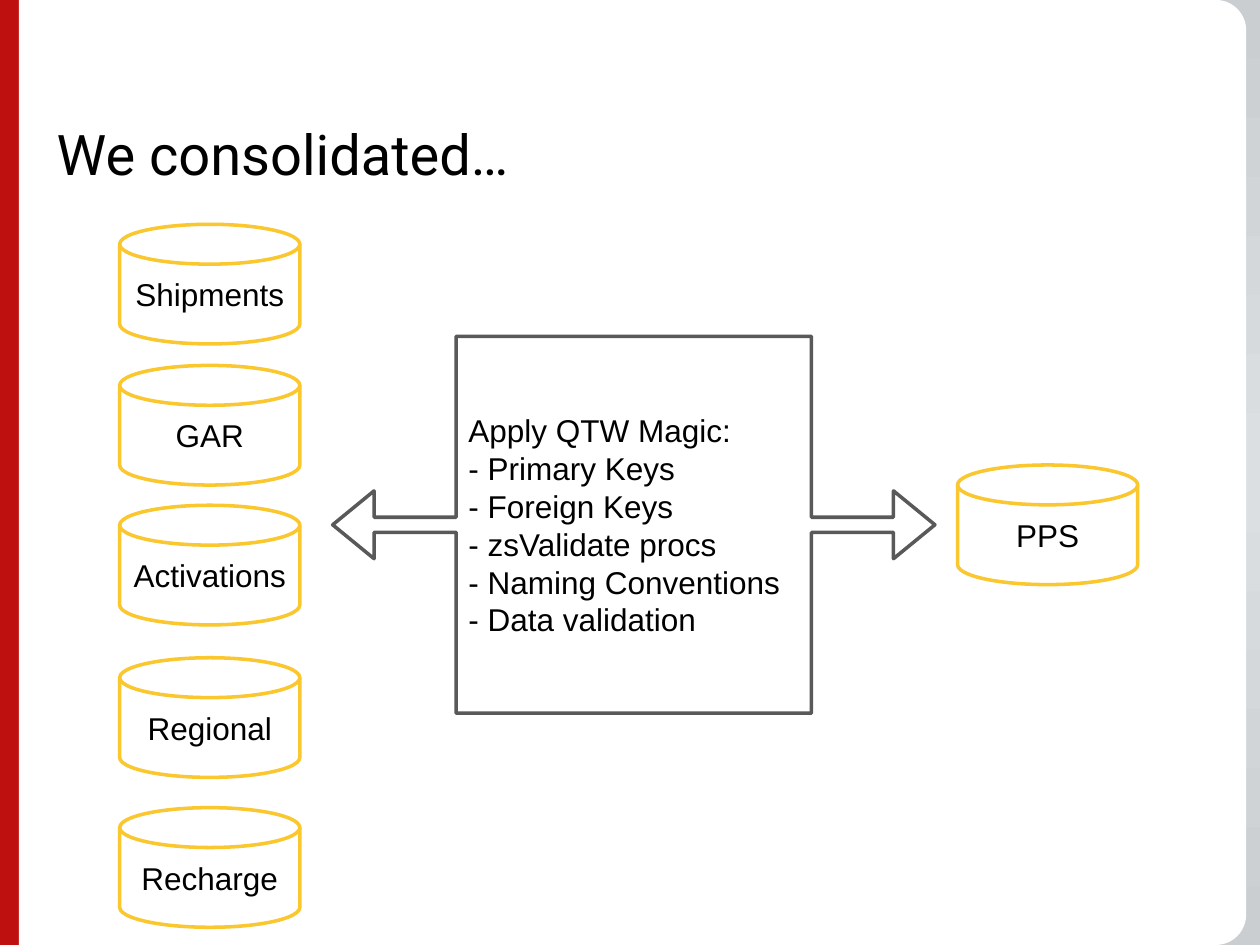
from copy import deepcopy

from pptx import Presentation
from pptx.dml.color import RGBColor
from pptx.enum.shapes import MSO_SHAPE as Shape
from pptx.enum.text import MSO_ANCHOR as Anchor, PP_ALIGN as Align
from pptx.util import Inches, Pt

TITLE = "We consolidated…"
# Database name and top edge, in inches
SOURCES = [
    ("Shipments", 1.78),
    ("GAR", 2.9),
    ("Activations", 4.01),
    ("Regional", 5.22),
    ("Recharge", 6.41),
]
TARGET = ("PPS", 3.69)
STEPS = [
    "Apply QTW Magic:",
    "- Primary Keys",
    "- Foreign Keys",
    "- zsValidate procs",
    "- Naming Conventions",
    "- Data validation",
]

COLORS = {
    "bar": "BE100F",
    "panel": "FFFFFF",
    "disk": "FAC72E",
    "callout": "595959",
    "text": "000000",
    "edge": "CACED1",
    "middle": "DBDFE2",
}
WIDTH, HEIGHT = 10, 7.5
BAR_WIDTH, PANEL_RIGHT, CORNER = 0.15, 9.89, 0.24
SOURCE_LEFT, TARGET_LEFT = 0.95, 7.6
DISK_WIDTH, DISK_HEIGHT = 1.43, 0.95


def color(name):
    return RGBColor.from_string(COLORS[name])


def add_shape(kind, left, top, width, height, fill, line=None):
    shape = slide.shapes.add_shape(
        kind, Inches(left), Inches(top), Inches(width), Inches(height))
    shape.shadow.inherit = False
    shape.fill.solid()
    shape.fill.fore_color.rgb = color(fill)
    if line:
        shape.line.color.rgb = color(line)
        shape.line.width = Pt(2)
    else:
        shape.line.fill.background()
    return shape


def write(shape, text, size=18, font="Arial", align=Align.LEFT, anchor=Anchor.MIDDLE):
    frame = shape.text_frame
    frame.word_wrap = True
    frame.vertical_anchor = anchor
    paragraph = frame.paragraphs[0]
    paragraph.text = text
    paragraph.alignment = align
    paragraph.font.size = Pt(size)
    paragraph.font.name = font
    paragraph.font.color.rgb = color("text")
    return frame


def add_disk(name, left, top):
    disk = add_shape(Shape.FLOWCHART_MAGNETIC_DISK, left, top,
                     DISK_WIDTH, DISK_HEIGHT, "panel", "disk")
    write(disk, name, align=Align.CENTER)


def paint_background():
    """Vertical gradient, lighter in the middle."""
    fill = slide.background.fill
    fill.gradient()
    fill.gradient_angle = 270
    first = fill.gradient_stops[0]
    first._gs.addnext(deepcopy(first._gs))
    for stop, position, name in zip(
            fill.gradient_stops, (0, 0.5, 1), ("edge", "middle", "edge")):
        stop.position = position
        stop.color.rgb = color(name)


prs = Presentation()
prs.slide_width, prs.slide_height = Inches(WIDTH), Inches(HEIGHT)
slide = prs.slides.add_slide(prs.slide_layouts[6])

paint_background()
add_shape(Shape.RECTANGLE, 0, 0, BAR_WIDTH, HEIGHT, "bar")

# A quarter turn brings the two rounded top corners to the right edge
panel_length = PANEL_RIGHT - BAR_WIDTH
panel = add_shape(Shape.ROUND_2_SAME_RECTANGLE,
                  (BAR_WIDTH + PANEL_RIGHT - HEIGHT) / 2,
                  (HEIGHT - panel_length) / 2,
                  HEIGHT, panel_length, "panel")
panel.rotation = 90
panel.adjustments[0] = CORNER / HEIGHT

title = slide.shapes.add_textbox(Inches(0.25), 0, Inches(9.6), Inches(1.68))
frame = write(title, TITLE, 32, "Roboto", anchor=Anchor.BOTTOM)
frame.margin_left = frame.margin_right = Inches(0.2)
frame.margin_top = frame.margin_bottom = Inches(0.2)

for name, top in SOURCES:
    add_disk(name, SOURCE_LEFT, top)
add_disk(TARGET[0], TARGET_LEFT, TARGET[1])

callout = add_shape(Shape.LEFT_RIGHT_ARROW_CALLOUT, 2.64, 2.67, 4.78, 2.99,
                    "panel", "callout")
for index, share in enumerate((0.04, 0.09, 0.11, 0.59)):
    callout.adjustments[index] = share
write(callout, "\n".join(STEPS))

prs.save("out.pptx")
